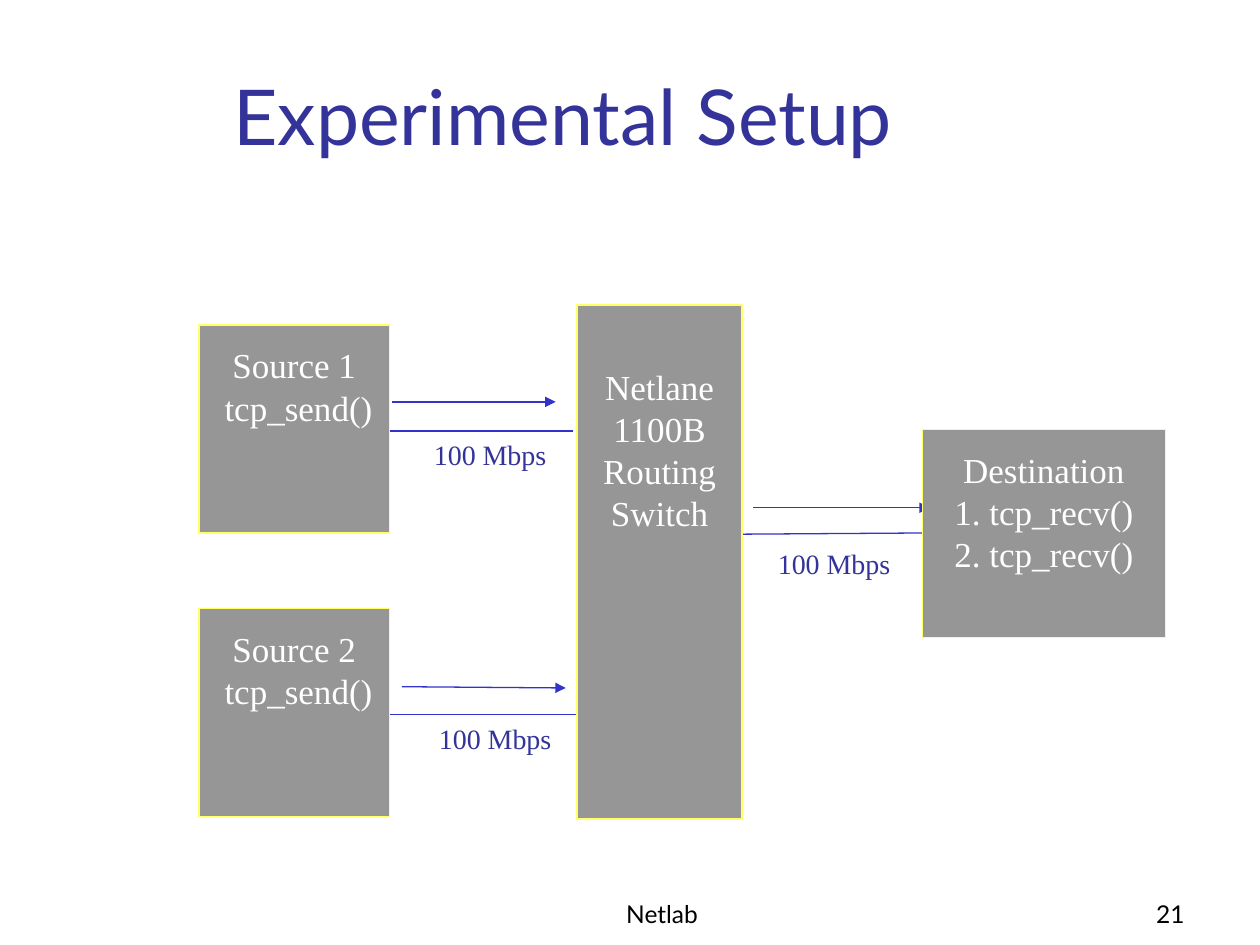
from lxml.etree import SubElement
from pptx import Presentation
from pptx.dml.color import RGBColor
from pptx.enum.dml import MSO_LINE
from pptx.enum.shapes import MSO_CONNECTOR, MSO_SHAPE
from pptx.enum.text import MSO_ANCHOR, PP_ALIGN
from pptx.oxml.ns import qn
from pptx.util import Inches, Pt

THEME = {
    "sans": "Lato", "serif": "Times New Roman",
    "navy": "333399", "line": "3333CC", "black": "000000",
    "node": "969696", "border": "FFFF66", "white": "FFFFFF",
    "title": 44, "body": 20, "label": 16, "footer": 14, "stroke": 0.75,
}

CABLES = [((7.34, 4.23), (5.84, 4.24)), ((4.55, 3.42), (2.92, 3.42)), ((4.64, 5.67), (3, 5.67))]
FLOWS = [((5.98, 4.03), (7.38, 4.03)), ((3.11, 3.19), (4.41, 3.19)), ((3.19, 5.45), (4.49, 5.46))]
RATE = "100 Mbps"
RATE_SIZE = (1.34, 0.56)
RATE_PLACES = [(3.22, 3.42), (3.26, 5.68), (5.95, 4.29)]
NODES = [
    ((1.58, 4.83, 1.51, 1.65), 0.15, ["Source 2", " tcp_send()"]),
    ((7.32, 3.41, 1.93, 1.65), 0.15, ["Destination", "1. tcp_recv()", "2. tcp_recv()"]),
    ((1.58, 2.58, 1.51, 1.65), 0.15, ["Source 1", " tcp_send()"]),
    ((4.58, 2.42, 1.31, 4.08), 0.48, ["Netlane", "1100B", "Routing", "Switch"]),
]
TEXTS = [
    ((0.33, 0.42, 8.28, 0.91), "Experimental Setup", "title", "navy", PP_ALIGN.CENTER),
    ((3.67, 6.92, 3.17, 0.5), "Netlab", "footer", "black", PP_ALIGN.CENTER),
    ((7.42, 6.92, 2.08, 0.5), "21", "footer", "black", PP_ALIGN.RIGHT),
]


def color(name):
    """Return a theme colour."""
    return RGBColor.from_string(THEME[name])


def write(box, lines, size, font, ink, align=PP_ALIGN.CENTER, anchor=MSO_ANCHOR.TOP, top=0.05):
    """Fill a box with one styled paragraph per line."""
    frame = box.text_frame
    frame.word_wrap = True
    frame.vertical_anchor = anchor
    frame.margin_left = frame.margin_right = Inches(0.1)
    frame.margin_top, frame.margin_bottom = Inches(top), Inches(0.05)
    for index, line in enumerate(lines):
        para = frame.add_paragraph() if index else frame.paragraphs[0]
        para.alignment = align
        span = para.add_run()
        span.text = line
        span.font.size = Pt(THEME[size])
        span.font.name = THEME[font]
        span.font.color.rgb = color(ink)


def add_link(page, start, end, arrow=False):
    """Draw a cable, or a flow arrow, between two points."""
    points = [Inches(value) for value in (*start, *end)]
    link = page.shapes.add_connector(MSO_CONNECTOR.STRAIGHT, *points)
    link.line.color.rgb = color("line")
    link.line.width = Pt(THEME["stroke"])
    link.line.dash_style = MSO_LINE.SOLID
    if arrow:
        SubElement(link.line._get_or_add_ln(), qn("a:tailEnd"), type="triangle")
    SubElement(link._element.spPr, qn("a:effectLst"))


def add_node(page, place, top, lines):
    """Draw one machine of the network."""
    node = page.shapes.add_shape(MSO_SHAPE.RECTANGLE, *map(Inches, place))
    node.shadow.inherit = False
    node.fill.solid()
    node.fill.fore_color.rgb = color("node")
    node.line.color.rgb = color("border")
    node.line.width = Pt(THEME["stroke"])
    write(node, lines, "body", "serif", "white", top=top)


def main():
    """Build the experimental setup slide."""
    deck = Presentation()
    deck.slide_width, deck.slide_height = Inches(10), Inches(7.5)
    page = deck.slides.add_slide(deck.slide_layouts[6])
    for place, text, size, ink, align in TEXTS:
        box = page.shapes.add_textbox(*map(Inches, place))
        write(box, [text], size, "sans", ink, align, MSO_ANCHOR.BOTTOM)
    for start, end in CABLES:
        add_link(page, start, end)
    for start, end in FLOWS:
        add_link(page, start, end, arrow=True)
    for place in RATE_PLACES:
        box = page.shapes.add_textbox(*map(Inches, place + RATE_SIZE))
        write(box, [RATE], "label", "serif", "navy")
    for place, top, lines in NODES:
        add_node(page, place, top, lines)
    deck.save("out.pptx")


if __name__ == "__main__":
    main()
